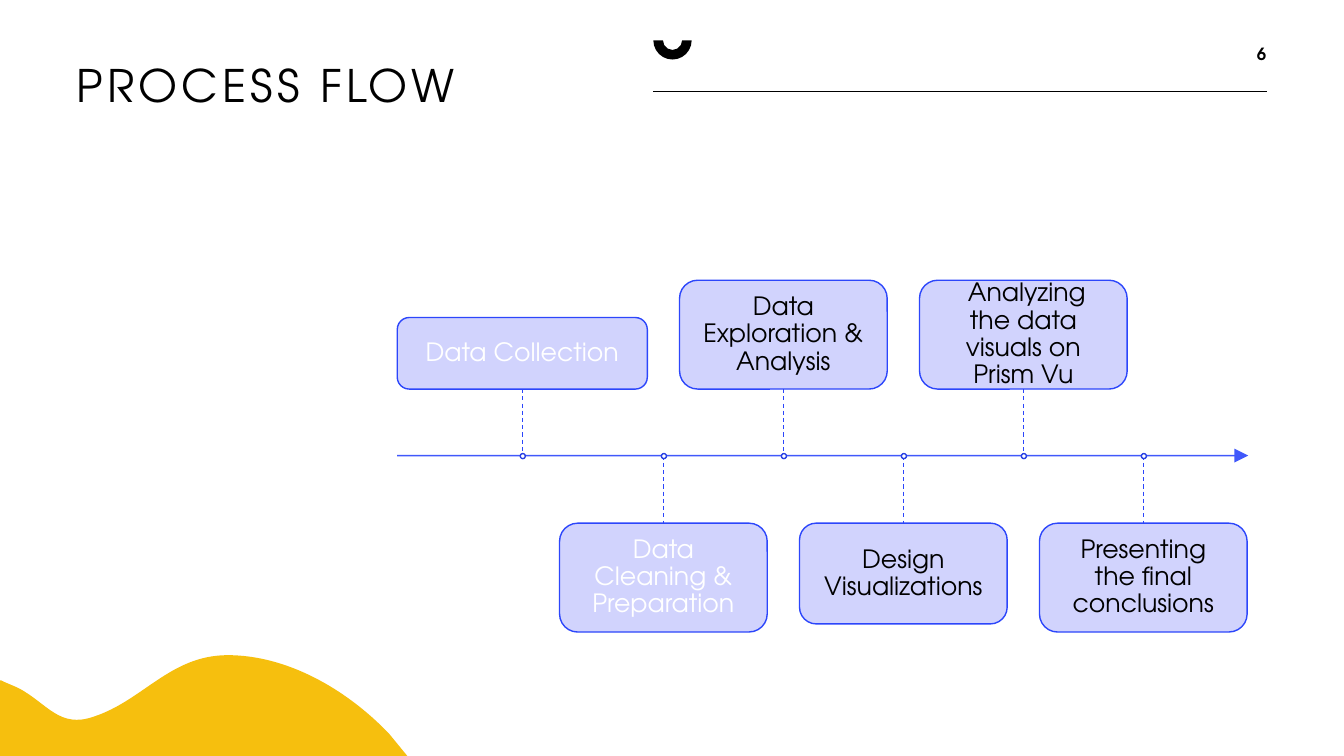
from lxml import etree
from pptx import Presentation
from pptx.dml.color import RGBColor
from pptx.enum.dml import MSO_LINE
from pptx.enum.shapes import MSO_CONNECTOR, MSO_SHAPE
from pptx.enum.text import MSO_ANCHOR, PP_ALIGN
from pptx.oxml.ns import qn
from pptx.util import Pt

PX = 9144  # EMU per px, 100 px to the inch
FONT = "TeX Gyre Adventor"
STRAIGHT = MSO_CONNECTOR.STRAIGHT
DASH = MSO_LINE.DASH
TOP, MIDDLE, BOTTOM = MSO_ANCHOR.TOP, MSO_ANCHOR.MIDDLE, MSO_ANCHOR.BOTTOM
LEFT, CENTER, RIGHT = PP_ALIGN.LEFT, PP_ALIGN.CENTER, PP_ALIGN.RIGHT
COLORS = {
    name: RGBColor.from_string(value)
    for name, value in {
        "black": "000000", "white": "FFFFFF", "wave": "F6BF0E",
        "card": "CDCFFD", "blue": "2C46FB", "dot": "2840E4",
    }.items()
}


def write(sp, text, size, color, align, anchor, insets):
    tf = sp.text_frame
    tf.word_wrap = True
    tf.vertical_anchor = anchor
    tf.margin_left, tf.margin_top, tf.margin_right, tf.margin_bottom = [v * PX for v in insets]
    p = tf.paragraphs[0]
    r = p.add_run()
    r.text = text
    p.alignment = align
    p.font.name = FONT
    p.font.size = Pt(size)
    p.font.color.rgb = COLORS[color]
    return p


def add_line(x1, y1, x2, y2, color, width):
    line = s.shapes.add_connector(STRAIGHT, x1 * PX, y1 * PX, x2 * PX, y2 * PX)
    line.line.color.rgb = COLORS[color]
    line.line.width = Pt(width)
    etree.SubElement(line._element.spPr, qn("a:effectLst"))
    return line


prs = Presentation()
prs.slide_width, prs.slide_height = 1333 * PX, 750 * PX
s = prs.slides.add_slide(prs.slide_layouts[6])

# Yellow wave: one-point segments are straight, three-point ones are cubic curves
WAVE_START = (226, 650)
WAVE_SEGMENTS = [
    [(284, 650), (343, 683), (386, 728)],
    [(404, 750)],
    [(0, 750)],
    [(0, 675)],
    [(1, 675)],
    [(7, 678), (13, 680), (19, 683)],
    [(47, 698), (59, 723), (93, 711)],
    [(142, 695), (169, 650), WAVE_START],
]
builder = s.shapes.build_freeform(*WAVE_START, scale=PX)
builder.add_line_segments([pt for segment in WAVE_SEGMENTS for pt in segment], close=True)
wave = builder.convert_to_shape()
segment_ends = iter(wave._element.findall(".//" + qn("a:lnTo")))
for segment in WAVE_SEGMENTS:
    nodes = [next(segment_ends) for _ in segment]
    if len(nodes) == 3:
        curve = etree.Element(qn("a:cubicBezTo"))
        nodes[0].addprevious(curve)
        for node in nodes:
            curve.append(node[0])
            node.getparent().remove(node)
wave.shadow.inherit = False
wave.fill.solid()
wave.fill.fore_color.rgb = COLORS["wave"]
wave.line.fill.background()

# Header: rule, half ring, title, page number
add_line(648, 91, 1257, 91, "black", 0.75)
ring = s.shapes.add_shape(MSO_SHAPE.BLOCK_ARC, 648 * PX, 21 * PX, 38 * PX, 38 * PX)
ring.rotation = 180
ring.shadow.inherit = False
ring.fill.solid()
ring.fill.fore_color.rgb = COLORS["black"]
ring.line.fill.background()

title = s.shapes.add_textbox(76 * PX, 58 * PX, 545 * PX, 196 * PX)
p = write(title, "PROCESS FLOW", 32, "black", LEFT, TOP, (0, 5, 10, 5))
p.line_spacing = 0.9
p.runs[0].font._element.set("spc", "300")

number = s.shapes.add_textbox(1218 * PX, 16 * PX, 38 * PX, 52 * PX)
p = write(number, "6", 12, "black", RIGHT, BOTTOM, (0, 5, 0, 5))
p.font.bold = True

# Timeline arrow
AXIS_Y = 452
axis = add_line(394, AXIS_Y, 1238, AXIS_Y, "blue", 1)
ln = axis.line._ln
etree.SubElement(ln.find(".//" + qn("a:srgbClr")), qn("a:alpha"), val="90000")
etree.SubElement(ln, qn("a:tailEnd"), type="triangle", w="lg", len="lg")

# Steps, alternating above and below the timeline
ABOVE_BOTTOM, BELOW_TOP = 386, 519
FIRST_X, SECOND_X, PITCH = 518, 658, 119
DOT = 5
STEPS = [  # text, colour, width, height
    ("Data Collection", "white", 248, 71),
    ("Data Cleaning & Preparation", "white", 206, 108),
    ("Data Exploration & Analysis", "black", 206, 108),
    ("Design Visualizations", "black", 206, 100),
    (" Analyzing the data visuals on Prism Vu", "black", 206, 108),
    ("Presenting the final conclusions", "black", 206, 108),
]
for i, (text, color, w, h) in enumerate(STEPS):
    x = SECOND_X + (i - 1) * PITCH if i else FIRST_X
    above = i % 2 == 0
    y = ABOVE_BOTTOM - h if above else BELOW_TOP
    card = s.shapes.add_shape(MSO_SHAPE.ROUNDED_RECTANGLE, (x - w // 2) * PX, y * PX, w * PX, h * PX)
    card.shadow.inherit = False
    card.fill.solid()
    card.fill.fore_color.rgb = COLORS["card"]
    fill = card._element.spPr.find(qn("a:solidFill"))
    etree.SubElement(fill[0], qn("a:alpha"), val="90000")
    card.line.color.rgb = COLORS["blue"]
    card.line.width = Pt(1)
    p = write(card, text, 18, color, CENTER, MIDDLE, (17, 17, 17, 17))
    p.line_spacing = 0.9

    if above:
        stem = add_line(x, ABOVE_BOTTOM, x, AXIS_Y, "blue", 0.75)
        stem.begin_connect(card, 2)
    else:
        stem = add_line(x, AXIS_Y, x, BELOW_TOP, "blue", 0.75)
        stem.end_connect(card, 0)
    stem.line.dash_style = DASH

    dot = s.shapes.add_shape(
        MSO_SHAPE.OVAL, (x - DOT // 2) * PX, (AXIS_Y - DOT // 2) * PX, DOT * PX, DOT * PX)
    dot.shadow.inherit = False
    dot.fill.solid()
    dot.fill.fore_color.rgb = COLORS["white"]
    dot.line.color.rgb = COLORS["dot"]
    dot.line.width = Pt(1)

prs.save("out.pptx")
